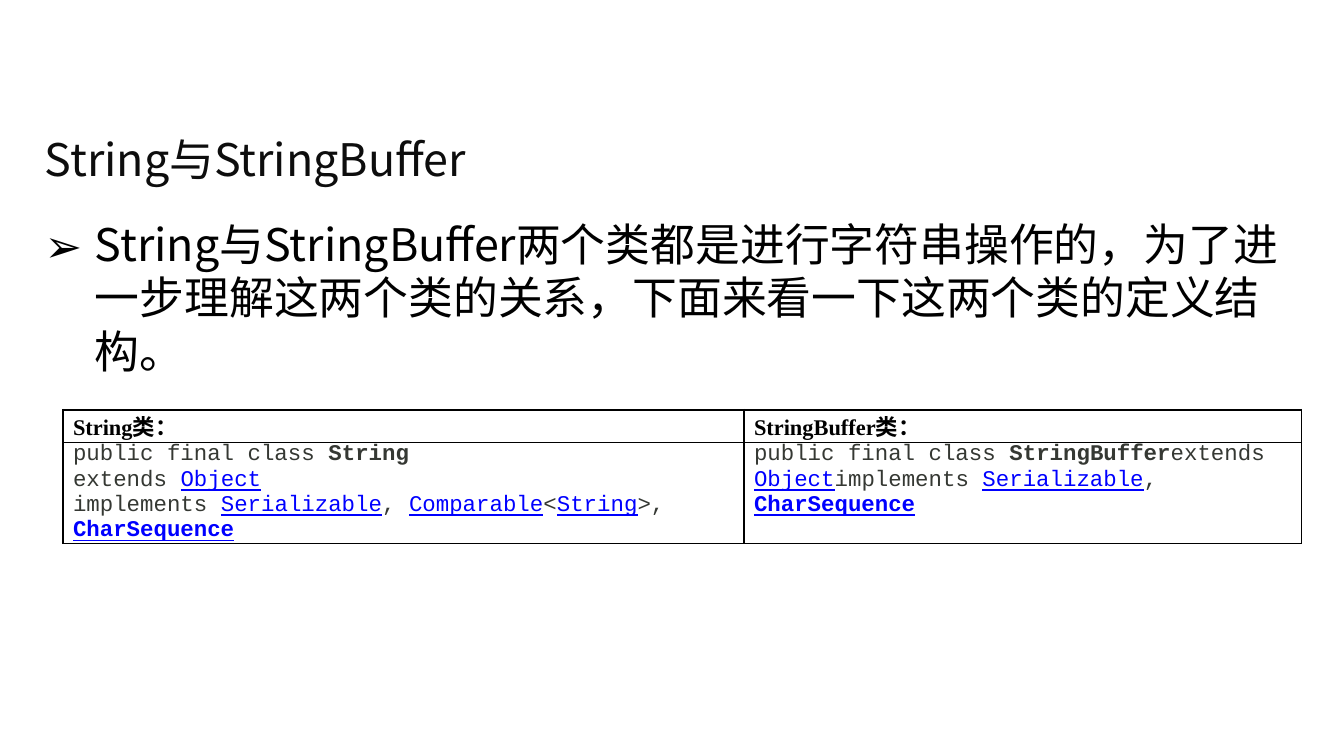
from lxml.etree import SubElement
from pptx import Presentation
from pptx.dml.color import RGBColor
from pptx.enum.text import MSO_ANCHOR, MSO_AUTO_SIZE, PP_ALIGN
from pptx.oxml.ns import qn
from pptx.util import Cm, Pt

SANS, SERIF, MONO = "Noto Sans CJK SC", "Times New Roman", "Courier New"
BLACK, TITLE_COLOR, CODE_COLOR, LINK_COLOR = "000000", "0D0D0D", "353833", "0000FF"

TITLE = "String与StringBuffer"
BODY = "String与StringBuffer两个类都是进行字符串操作的，为了进一步理解这两个类的关系，下面来看一下这两个类的定义结构。"
HEADERS = ["String类：", "StringBuffer类："]
PLAIN, BOLD = {}, {"bold": True}
LINK = {"color": LINK_COLOR, "underline": True}
BOLD_LINK = {**LINK, **BOLD}
DEFINITIONS = [
    [
        [("public final class ", PLAIN), ("String", BOLD)],
        [("extends ", PLAIN), ("Object", LINK)],
        [("implements ", PLAIN), ("Serializable", LINK), (", ", PLAIN),
         ("Comparable", LINK), ("<", PLAIN), ("String", LINK), (">, ", PLAIN),
         ("CharSequence", BOLD_LINK)],
    ],
    [
        [("public final class ", PLAIN), ("StringBuffer", BOLD), ("extends ", PLAIN),
         ("Object", LINK), ("implements ", PLAIN), ("Serializable", LINK),
         (", ", PLAIN), ("CharSequence", BOLD_LINK)],
    ],
]

LEFT, WIDTH = Cm(0.59), Cm(24.2)
COLUMN_WIDTHS = [Cm(12.87), Cm(10.54)]
ROW_HEIGHTS = [Cm(0.61), Cm(1.91)]


def rgb(value):
    """Turn a hex string into a colour."""
    return RGBColor.from_string(value)


def add_text(para, text, font=MONO, size=12, color=CODE_COLOR, bold=False, underline=False):
    """Add a formatted span to a paragraph."""
    span = para.add_run()
    span.text = text
    span.font.name = font
    span.font.size = Pt(size)
    span.font.color.rgb = rgb(color)
    span.font.bold = bold
    span.font.underline = underline
    SubElement(span.font._element, qn("a:ea"), typeface=SANS)


def place(box, top, height, anchor):
    """Position a placeholder and return its first paragraph."""
    box.left, box.top, box.width, box.height = LEFT, top, WIDTH, height
    frame = box.text_frame
    frame.word_wrap = True
    frame.auto_size = MSO_AUTO_SIZE.NONE
    frame.vertical_anchor = anchor
    para = frame.paragraphs[0]
    para.alignment = PP_ALIGN.LEFT
    para.space_before = Pt(0)
    return para


def set_bullet(para, mark, indent):
    """Give a paragraph a hanging bullet."""
    properties = para._p.get_or_add_pPr()
    properties.set("marL", str(indent))
    properties.set("indent", str(-indent))
    SubElement(properties, qn("a:buFont"), typeface=SANS)
    SubElement(properties, qn("a:buChar"), char=mark)


def format_cell(cell):
    """Give a cell tight margins, black borders and no fill."""
    cell.margin_left = cell.margin_right = Cm(0.19)
    cell.margin_top = cell.margin_bottom = 0
    properties = cell._tc.get_or_add_tcPr()
    for side in ("lnL", "lnR", "lnT", "lnB"):
        line = SubElement(properties, qn(f"a:{side}"), w=str(Pt(1)))
        fill = SubElement(line, qn("a:solidFill"))
        SubElement(fill, qn("a:srgbClr"), val=BLACK)
    cell.fill.background()


def add_definitions(page):
    """Add the table that compares the two class definitions."""
    table = page.shapes.add_table(
        2, 2, Cm(1.19), Cm(7.74), sum(COLUMN_WIDTHS), sum(ROW_HEIGHTS)).table
    table.first_row = table.horz_banding = False
    for row, height in zip(table.rows, ROW_HEIGHTS):
        row.height = height
    for index, (header, lines) in enumerate(zip(HEADERS, DEFINITIONS)):
        table.columns[index].width = COLUMN_WIDTHS[index]
        top, bottom = table.cell(0, index), table.cell(1, index)
        format_cell(top)
        format_cell(bottom)
        para = top.text_frame.paragraphs[0]
        para.alignment = PP_ALIGN.JUSTIFY
        add_text(para, header, font=SERIF, color=BLACK, bold=True)
        frame = bottom.text_frame
        for number, spans in enumerate(lines):
            para = frame.add_paragraph() if number else frame.paragraphs[0]
            for text, style in spans:
                add_text(para, text, **style)


def main():
    """Build and save the slide."""
    deck = Presentation()
    deck.slide_width, deck.slide_height = Cm(25.4), Cm(14.28)
    page = deck.slides.add_slide(deck.slide_layouts[1])
    title, body = page.placeholders

    para = place(title, Cm(2.18), Cm(1.63), MSO_ANCHOR.MIDDLE)
    add_text(para, TITLE, font=SANS, size=24, color=TITLE_COLOR)

    para = place(body, Cm(3.96), Cm(8.94), MSO_ANCHOR.TOP)
    set_bullet(para, "➢", Cm(0.95))
    add_text(para, BODY, font=SANS, size=24, color=BLACK)

    add_definitions(page)
    deck.save("out.pptx")


if __name__ == "__main__":
    main()
